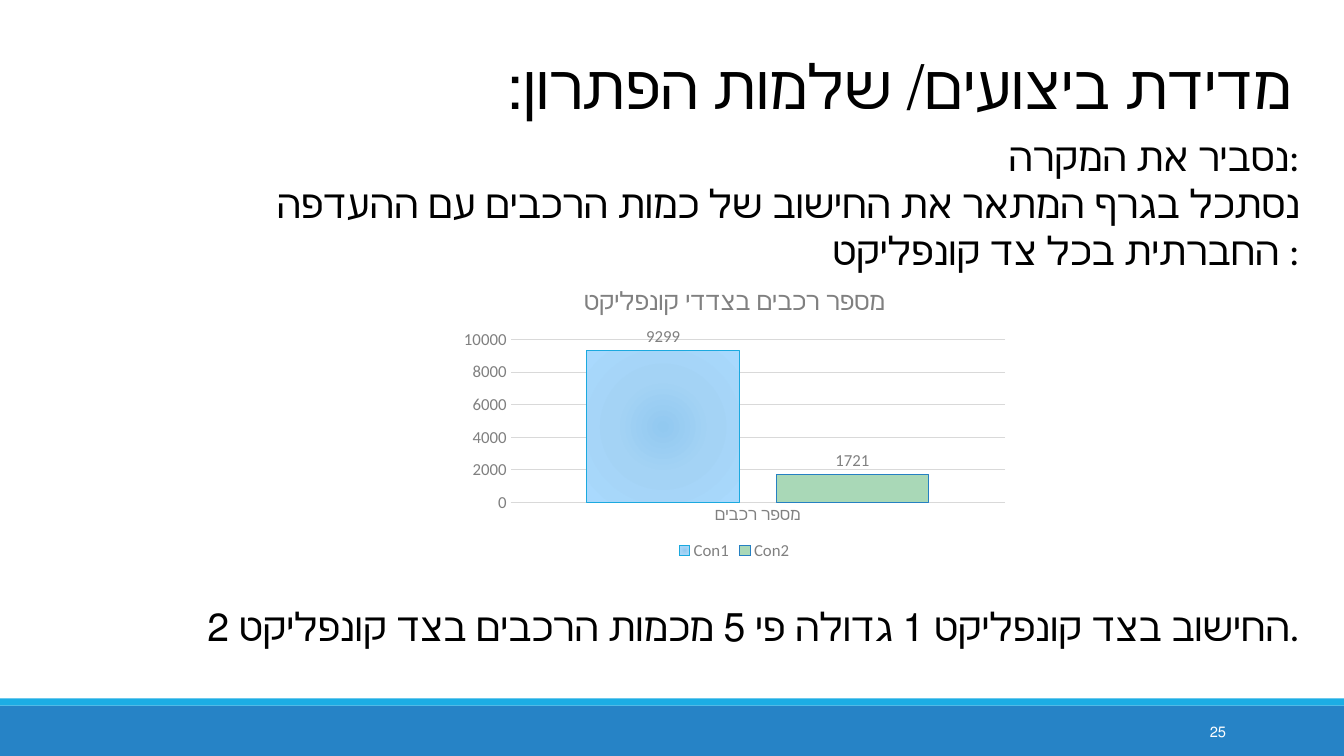
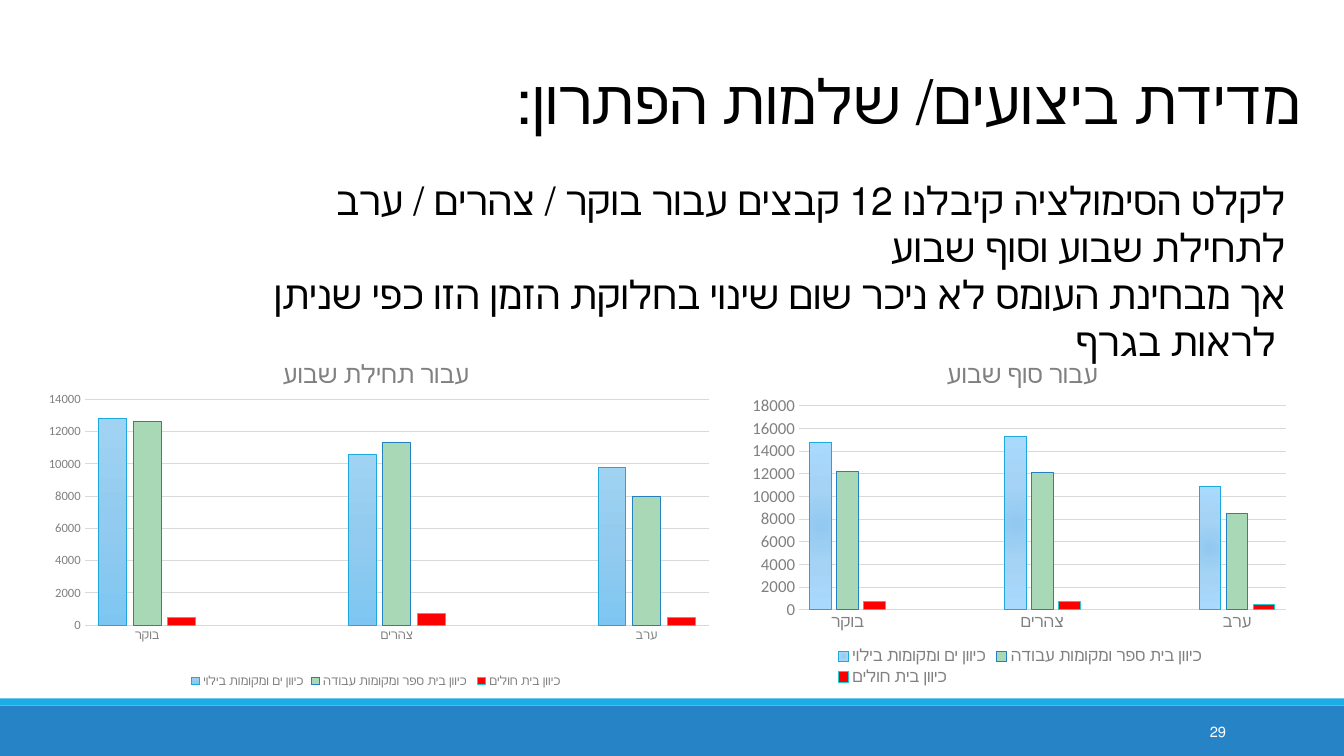
from lxml import etree
from pptx import Presentation
from pptx.chart.data import CategoryChartData
from pptx.dml.color import RGBColor
from pptx.enum.chart import XL_CHART_TYPE, XL_LABEL_POSITION, XL_LEGEND_POSITION, XL_TICK_MARK
from pptx.enum.shapes import MSO_SHAPE
from pptx.enum.text import MSO_ANCHOR, MSO_AUTO_SIZE, PP_ALIGN
from pptx.oxml import parse_xml
from pptx.oxml.ns import nsdecls, qn
from pptx.util import Inches, Pt

COLUMNS = XL_CHART_TYPE.COLUMN_CLUSTERED
OUTSIDE_END = XL_LABEL_POSITION.OUTSIDE_END
LEGEND_BOTTOM = XL_LEGEND_POSITION.BOTTOM
NO_TICK = XL_TICK_MARK.NONE
RECTANGLE = MSO_SHAPE.RECTANGLE
TOP, MIDDLE = MSO_ANCHOR.TOP, MSO_ANCHOR.MIDDLE
NO_AUTOFIT = MSO_AUTO_SIZE.NONE
RIGHT = PP_ALIGN.RIGHT

FONT = "Calibri"
BLACK = RGBColor(0x00, 0x00, 0x00)
WHITE = RGBColor(0xFF, 0xFF, 0xFF)
GRAY = RGBColor(0x80, 0x80, 0x80)
GRID = RGBColor(0xD9, 0xD9, 0xD9)
BLUE = RGBColor(0x26, 0x83, 0xC6)
CYAN = RGBColor(0x1C, 0xAD, 0xE4)
GREEN = RGBColor(0xA9, 0xD8, 0xB7)
RED = RGBColor(0xFF, 0x00, 0x00)
OUTLINES = [RGBColor(0x1B, 0xA9, 0xDF), RGBColor(0x25, 0x80, 0xC2), RGBColor(0x26, 0xC9, 0xD2)]

RADIAL = {
    "stops": [(0, RGBColor(0x92, 0xC9, 0xF0)), (45, RGBColor(0xA4, 0xD3, 0xF5)),
              (100, RGBColor(0xA9, 0xD9, 0xFD))],
    "shade": '<a:path path="circle"><a:fillToRect l="100000" t="100000" r="100000" b="100000"/></a:path>',
}
VERTICAL = {
    "stops": [(0, RGBColor(0xA0, 0xD3, 0xF2)), (50, RGBColor(0x92, 0xCB, 0xEF)),
              (100, RGBColor(0x7E, 0xC6, 0xF1))],
    "shade": '<a:lin ang="5400000" scaled="0"/>',
}

SLIDE_SIZE = (13.33, 7.5)
BANDS = [((0, 7, 13.33, 0.5), BLUE), ((0, 6.93, 13.33, 0.07), CYAN)]
NUMBER_BOX = (10.83, 7.06, 1.43, 0.4)
TITLE = "מדידת ביצועים/ שלמות הפתרון:"
DAY_PARTS = ["בוקר", "", "צהרים", "", "ערב"]
DIRECTIONS = ["כיוון ים ומקומות בילוי", "כיוון בית ספר ומקומות עבודה ", "כיוון בית חולים"]

SLIDES = [
    {
        "number": "25",
        "title_box": (1.92, 0.51, 11, 1.59),
        "body_box": (1.21, 1.26, 11.78, 5.5),
        "body": [
            ("נסביר את המקרה:", 0),
            ("נסתכל בגרף המתאר את החישוב של כמות הרכבים עם ההעדפה החברתית בכל צד קונפליקט :", 0),
            ("החישוב בצד קונפליקט 1 גדולה פי 5 מכמות הרכבים בצד קונפליקט 2.", 235),
        ],
        "charts": [
            {
                "box": (4.49, 2.7, 5.59, 2.9),
                "title": "מספר רכבים בצדדי קונפליקט",
                "categories": ["מספר רכבים"],
                "series": [("Con1", [9299]), ("Con2", [1721])],
                "gradient": RADIAL, "size": 12, "labels": True,
            },
        ],
    },
    {
        "number": "29",
        "title_box": (2.01, 0.66, 11, 1.59),
        "body_box": (2.15, 1.7, 10.7, 1.99),
        "body": [
            ("לקלט הסימולציה קיבלנו 12 קבצים עבור בוקר / צהרים / ערב לתחילת שבוע וסוף שבוע", 0),
            ("אך מבחינת העומס לא ניכר שום שינוי בחלוקת הזמן הזו כפי שניתן לראות בגרף ", 0),
        ],
        "charts": [
            {
                "box": (0.29, 3.41, 6.88, 3.45),
                "title": "עבור תחילת שבוע",
                "categories": DAY_PARTS,
                "series": list(zip(DIRECTIONS, [
                    [12800, None, 10600, None, 9800],
                    [12600, None, 11300, None, 8000],
                    [500, None, 700, None, 500]])),
                "gradient": VERTICAL, "size": 9,
                "plot": {"x": 0.08, "y": 0.16, "w": 0.9, "h": 0.65},
            },
            {
                "box": (7.3, 3.41, 5.68, 3.43),
                "title": "עבור סוף שבוע",
                "categories": DAY_PARTS,
                "series": list(zip(DIRECTIONS, [
                    [14800, None, 15300, None, 10900],
                    [12200, None, 12100, None, 8500],
                    [700, None, 700, None, 500]])),
                "gradient": RADIAL, "size": 12,
                "plot": {"x": 0.11, "y": 0.18, "w": 0.85, "h": 0.59},
            },
        ],
    },
]


def inches(box):
    return [Inches(length) for length in box]


def place(shape, box):
    shape.left, shape.top, shape.width, shape.height = inches(box)


def style_font(font, size, color):
    font.name = FONT
    font.size = Pt(size)
    font.bold = False
    font.color.rgb = color


def write(frame, paragraphs, size, color=BLACK, rtl=False, line_spacing=1.0, anchor=TOP):
    frame.word_wrap = True
    frame.auto_size = NO_AUTOFIT
    frame.vertical_anchor = anchor
    for index, (text, space_before) in enumerate(paragraphs):
        paragraph = frame.add_paragraph() if index else frame.paragraphs[0]
        paragraph.alignment = RIGHT
        paragraph.line_spacing = line_spacing
        paragraph.space_before = Pt(space_before)
        paragraph.space_after = Pt(0)
        run = paragraph.add_run()
        run.text = text
        style_font(run.font, size, color)
        properties = paragraph._p.get_or_add_pPr()
        properties.set("marL", "0")
        properties.set("indent", "0")
        properties.set("rtl", "1" if rtl else "0")
        etree.SubElement(properties, qn("a:buNone"))


def add_master_bands(master, slide):
    for position, (box, color) in enumerate(BANDS, start=2):
        band = slide.shapes.add_shape(RECTANGLE, *inches(box))
        band.shadow.inherit = False
        band.fill.solid()
        band.fill.fore_color.rgb = color
        band.line.fill.background()
        master.shapes.element.insert(position, band.element)


def apply_gradient(chart, gradient):
    first_series = next(chart.element.iter(qn("c:ser")))
    solid = first_series.find(qn("c:spPr")).find(qn("a:solidFill"))
    stops = "".join(f'<a:gs pos="{position * 1000}"><a:srgbClr val="{color}"/></a:gs>'
                    for position, color in gradient["stops"])
    solid.getparent().replace(solid, parse_xml(
        f'<a:gradFill {nsdecls("a")} rotWithShape="1"><a:gsLst>{stops}</a:gsLst>'
        f'{gradient["shade"]}</a:gradFill>'))


def set_plot_layout(chart, plot):
    area = next(chart.element.iter(qn("c:plotArea")))
    for layout in area.findall(qn("c:layout")):
        area.remove(layout)
    modes = '<c:xMode val="edge"/><c:yMode val="edge"/>'
    sides = "".join(f'<c:{side} val="{share}"/>' for side, share in plot.items())
    area.insert(0, parse_xml(
        f'<c:layout {nsdecls("c")}><c:manualLayout><c:layoutTarget val="inner"/>'
        f'{modes}{sides}</c:manualLayout></c:layout>'))


def add_columns(slide, content):
    data = CategoryChartData()
    data.categories = content["categories"]
    for name, values in content["series"]:
        data.add_series(name, values)
    chart = slide.shapes.add_chart(COLUMNS, *inches(content["box"]), data).chart
    size = content["size"]
    style_font(chart.font, 10, BLACK)

    chart.has_title = True
    heading = chart.chart_title.text_frame.paragraphs[0].add_run()
    heading.text = content["title"]
    style_font(heading.font, 18, GRAY)
    chart.chart_title.include_in_layout = False

    chart.has_legend = True
    chart.legend.position = LEGEND_BOTTOM
    chart.legend.include_in_layout = False
    style_font(chart.legend.font, size, GRAY)

    for axis in (chart.category_axis, chart.value_axis):
        axis.major_tick_mark = NO_TICK
        axis.minor_tick_mark = NO_TICK
        style_font(axis.tick_labels.font, size, GRAY)
    chart.value_axis.format.line.fill.background()
    chart.value_axis.has_major_gridlines = True
    for line in (chart.category_axis.format.line, chart.value_axis.major_gridlines.format.line):
        line.color.rgb = GRID
        line.width = Pt(0.75)

    columns = chart.plots[0]
    columns.gap_width = 100
    columns.overlap = -24
    columns.vary_by_categories = False
    for series, fill, outline in zip(columns.series, (CYAN, GREEN, RED), OUTLINES):
        series.invert_if_negative = False
        series.format.fill.solid()
        series.format.fill.fore_color.rgb = fill
        series.format.line.color.rgb = outline
        series.format.line.width = Pt(0.75)
    apply_gradient(chart, content["gradient"])

    if content.get("labels"):
        columns.has_data_labels = True
        columns.data_labels.show_value = True
        columns.data_labels.position = OUTSIDE_END
        style_font(columns.data_labels.font, size, GRAY)
    if "plot" in content:
        set_plot_layout(chart, content["plot"])


def add_slide(prs, content):
    slide = prs.slides.add_slide(prs.slide_layouts[1])
    title, body = slide.shapes.title, slide.placeholders[1]
    place(title, content["title_box"])
    write(title.text_frame, [(TITLE, 0)], size=44, rtl=True, line_spacing=0.9)
    place(body, content["body_box"])
    write(body.text_frame, content["body"], size=28)
    for chart in content["charts"]:
        add_columns(slide, chart)
    number = slide.shapes.add_textbox(*inches(NUMBER_BOX))
    write(number.text_frame, [(content["number"], 0)], size=10.5, color=WHITE, rtl=True, anchor=MIDDLE)
    return slide


def main():
    prs = Presentation()
    prs.slide_width, prs.slide_height = inches(SLIDE_SIZE)
    slides = [add_slide(prs, content) for content in SLIDES]
    add_master_bands(prs.slide_master, slides[0])
    prs.save("out.pptx")


if __name__ == "__main__":
    main()
